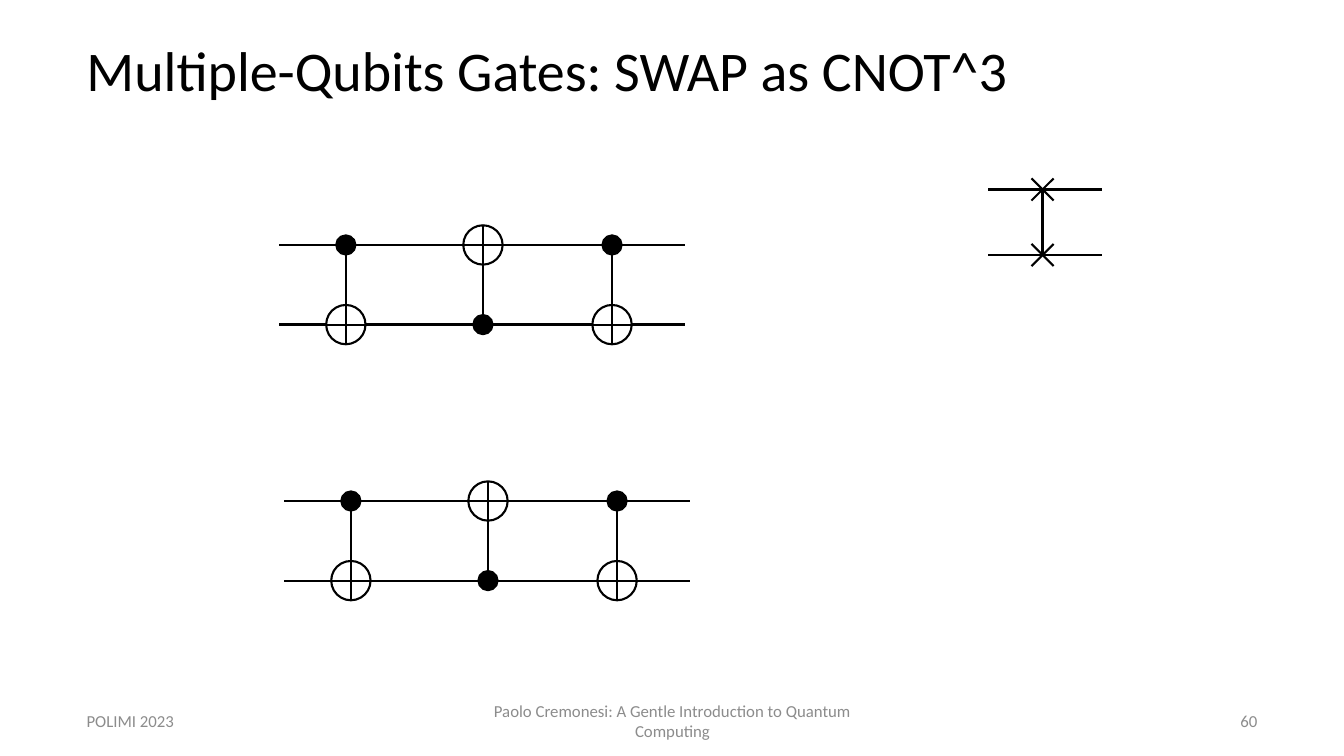
import pptx
import pptx.dml.color
import pptx.enum.shapes
import pptx.enum.text
import pptx.oxml.ns
import pptx.util
from lxml import etree

EMU_PER_PX = 9144  # 100 px to the inch
BLACK, GREY = "000000", "8C8C8C"

TITLE = ("Multiple-Qubits Gates: SWAP as CNOT^3", (76, 0, 1180, 145))
FOOTERS = [
    ("POLIMI 2023", (76, 695, 315, 40), "LEFT"),
    ("Paolo Cremonesi: A Gentle Introduction to Quantum Computing",
     (442, 695, 450, 40), "CENTER"),
    ("60", (942, 695, 315, 40), "RIGHT"),
]

# Each circuit: x of its first gate, y of its upper wire
CIRCUITS = [(343, 243), (348, 497)]
# Each CNOT: x from the first gate, whether its control is on the upper wire
CNOTS = [(0, True), (136, False), (264, True)]
WIRE_GAP = 79
WIRE_BEFORE, WIRE_AFTER = 66, 72
TARGET_SIZE, CONTROL_SIZE = 39, 19

SWAP_X, SWAP_WIRES = 1034, (253, 188)
SWAP_LEFT, SWAP_RIGHT = 980, 1093
CROSS_ARM = 11


def emu(px):
    return round(px * EMU_PER_PX)


def colour(code):
    return pptx.dml.color.RGBColor.from_string(code)


def add_text(text, box, size=12, ink=GREY, align="LEFT", spacing=1.0):
    frame = slide.shapes.add_textbox(*map(emu, box)).text_frame
    frame.word_wrap = True
    frame.vertical_anchor = pptx.enum.text.MSO_ANCHOR.MIDDLE
    paragraph = frame.paragraphs[0]
    paragraph.alignment = getattr(pptx.enum.text.PP_ALIGN, align)
    paragraph.line_spacing = spacing
    run = paragraph.add_run()
    run.text = text
    run.font.name = "Calibri"
    run.font.size = pptx.util.Pt(size)
    run.font.color.rgb = colour(ink)


def set_stroke(line):
    line.color.rgb = colour(BLACK)
    line.width = pptx.util.Pt(1.5)


def add_line(group, x1, y1, x2, y2):
    connector = group.shapes.add_connector(
        pptx.enum.shapes.MSO_CONNECTOR.STRAIGHT, *map(emu, (x1, y1, x2, y2)))
    set_stroke(connector.line)
    properties = connector._element.spPr
    etree.SubElement(properties, pptx.oxml.ns.qn("a:effectLst"))


def add_node(group, x, y, size, filled):
    """Draw a control dot (filled) or a target ring centred on x, y."""
    node = group.shapes.add_shape(
        pptx.enum.shapes.MSO_SHAPE.FLOWCHART_OR,
        *map(emu, (x - size / 2, y - size / 2, size, size)))
    node.shadow.inherit = False
    set_stroke(node.line)
    if filled:
        node.fill.solid()
        node.fill.fore_color.rgb = colour(BLACK)
    else:
        node.fill.background()


def add_cnot(group, x, control_y, target_y):
    for y, size, filled in ((target_y, TARGET_SIZE, False),
                            (control_y, CONTROL_SIZE, True)):
        add_line(group, x - WIRE_BEFORE, y, x - size / 2, y)
        add_line(group, x + size / 2, y, x + WIRE_AFTER, y)
        add_node(group, x, y, size, filled)
    down = 1 if target_y > control_y else -1
    add_line(group, x, control_y + down * CONTROL_SIZE / 2,
             x, target_y - down * TARGET_SIZE / 2)


def add_swap(group):
    add_line(group, SWAP_X, SWAP_WIRES[0], SWAP_X, SWAP_WIRES[1])
    for y in SWAP_WIRES:
        add_line(group, SWAP_LEFT, y, SWAP_RIGHT, y)
        for arm in (CROSS_ARM, -CROSS_ARM):
            add_line(group, SWAP_X - arm, y - CROSS_ARM,
                     SWAP_X + arm, y + CROSS_ARM)


deck = pptx.Presentation()
deck.slide_width, deck.slide_height = emu(1333), emu(750)
slide = deck.slides.add_slide(deck.slide_layouts[6])

title, title_box = TITLE
add_text(title, title_box, size=40, ink=BLACK, spacing=0.9)
for footer, footer_box, footer_align in FOOTERS:
    add_text(footer, footer_box, align=footer_align)

for first_x, upper_y in CIRCUITS:
    circuit = slide.shapes.add_group_shape()
    wires = (upper_y, upper_y + WIRE_GAP)
    for offset, control_on_top in CNOTS:
        control, target = wires if control_on_top else wires[::-1]
        add_cnot(circuit, first_x + offset, control, target)
add_swap(slide.shapes.add_group_shape())

deck.save("out.pptx")
